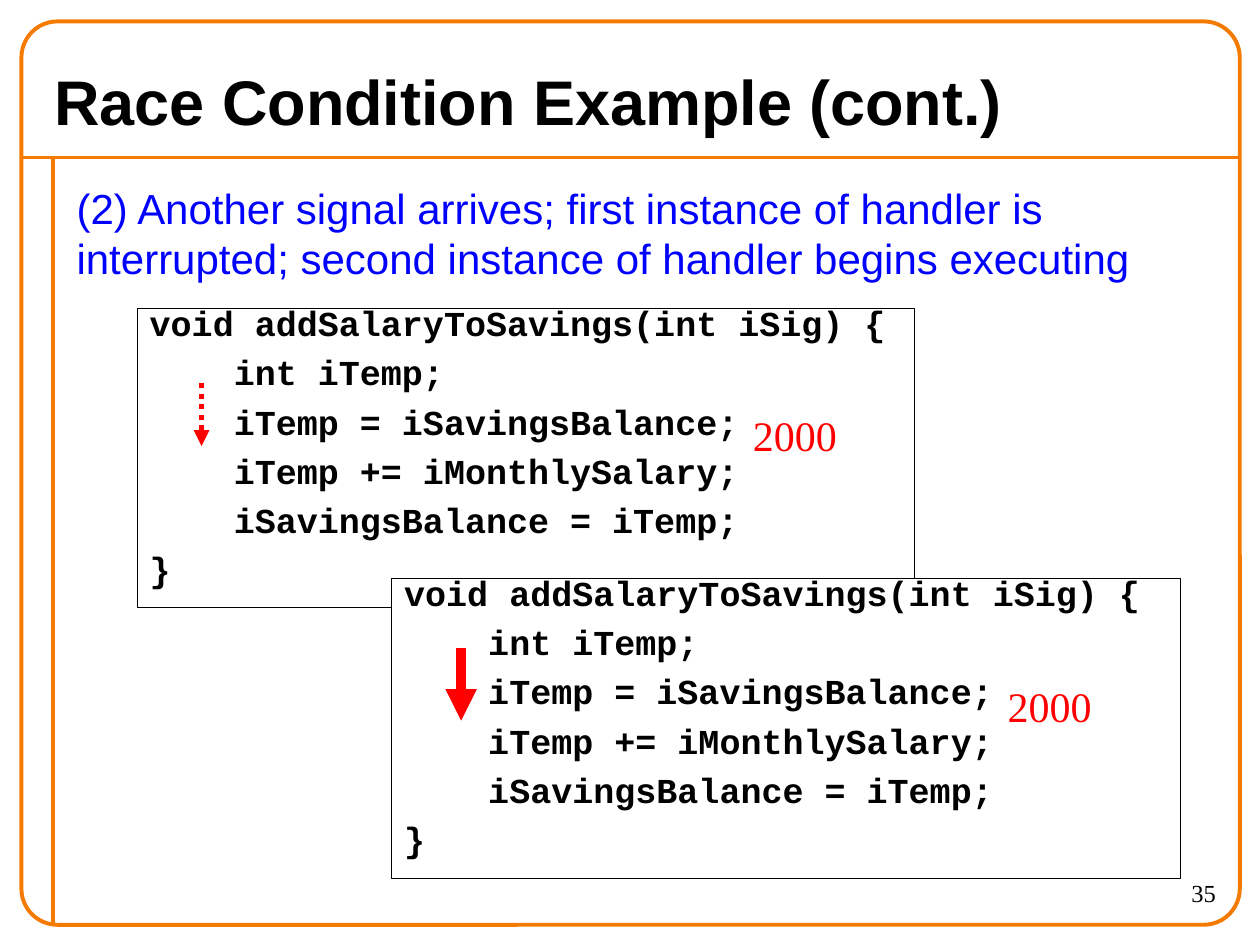
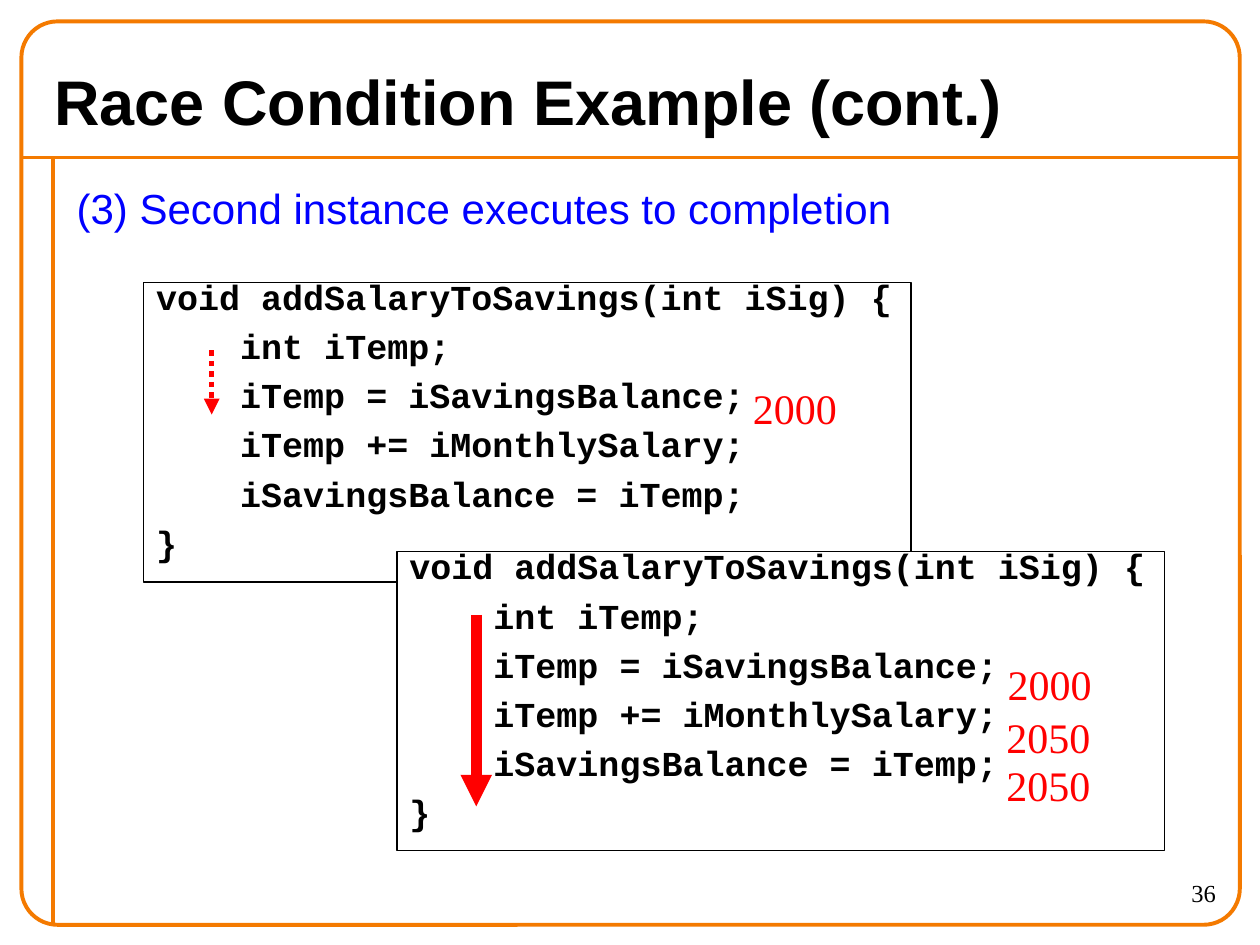
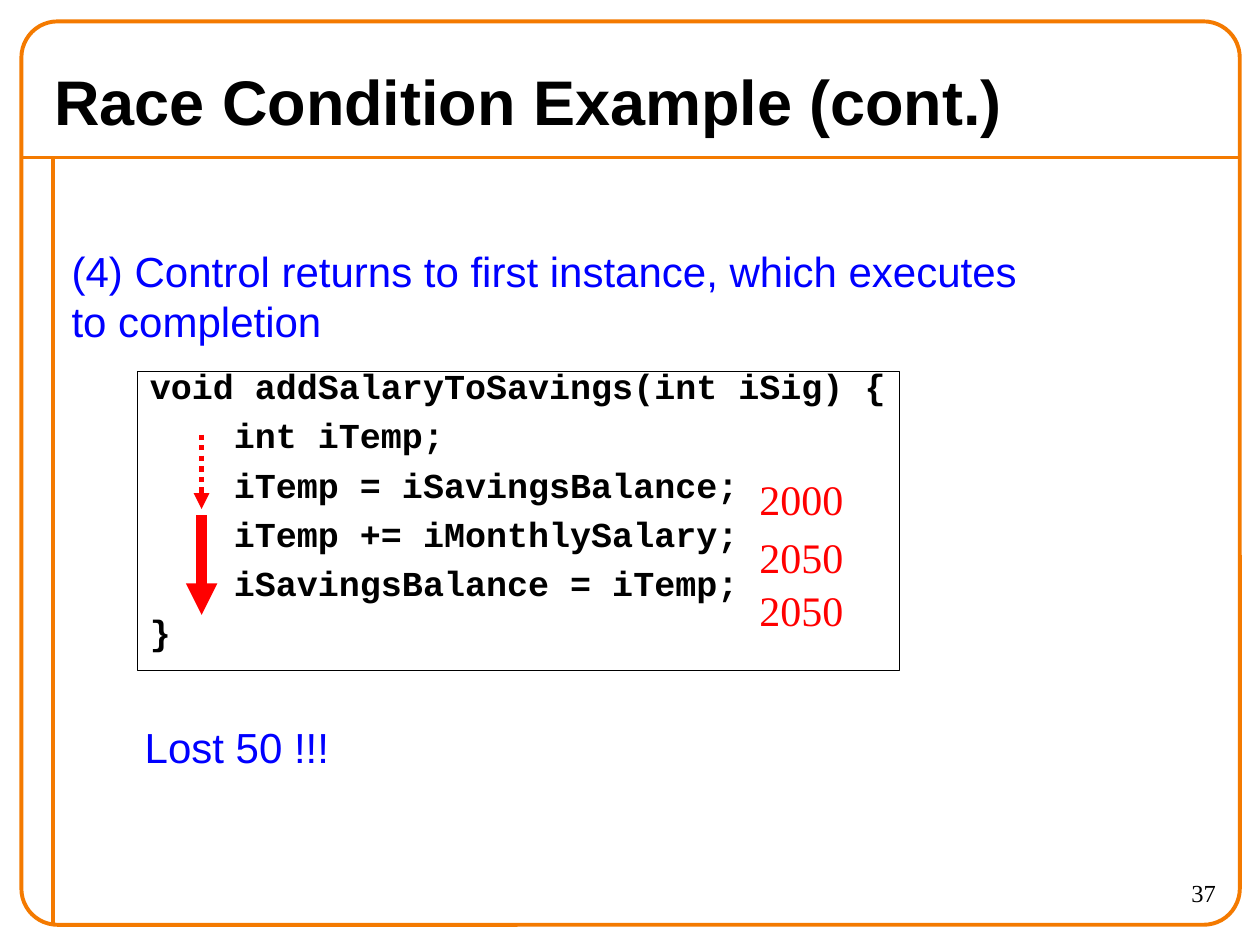
"""Build three slides that trace a race condition in a signal handler."""
from dataclasses import dataclass

from lxml import etree
from pptx import Presentation
from pptx import util as u
from pptx.dml.color import RGBColor
from pptx.enum import dml, shapes, text
from pptx.oxml import ns


@dataclass(frozen=True)
class Theme:
    rule: str = "F47A00"
    ink: str = "000000"
    note: str = "0000FF"
    mark: str = "FF0000"
    paper: str = "FFFFFF"
    sans: str = "Arial"
    mono: str = "Courier New"
    serif: str = "Times New Roman"
    head: int = 36
    body: int = 24
    code: int = 20
    foot: int = 14
    edge: float = 2.25
    thin: float = 0.75
    past: int = 3
    live: int = 6


T = Theme()
TITLE = "Race Condition Example (cont.)"
FIRST = 35
CODE = """void addSalaryToSavings(int iSig) {
    int iTemp;
    iTemp = iSavingsBalance;
    iTemp += iMonthlySalary;
    iSavingsBalance = iTemp;
}"""
SLIDES = [
    {
        "notes": [("(2) Another signal arrives; first instance of handler is\n"
                   "interrupted; second instance of handler begins executing",
                   (0.51, 1.4, 8.56, 0.9))],
        "code": [(1.09, 2.45, 6.17, 2.37), (3.11, 4.59, 6.26, 2.38)],
        "past": [(1.6, 3.04, 3.54)],
        "live": [(3.66, 5.14, 5.72)],
        "values": [("2000", 5.88, 3.2), ("2000", 7.9, 5.35)],
    },
    {
        "notes": [("(3) Second instance executes to completion",
                   (0.51, 1.4, 6.66, 0.5))],
        "code": [(1.14, 2.24, 6.09, 2.38), (3.15, 4.38, 6.09, 2.37)],
        "past": [(1.68, 2.78, 3.29)],
        "live": [(3.78, 4.88, 6.4)],
        "values": [("2000", 5.88, 2.99), ("2000", 7.9, 5.18),
                   ("2050", 7.89, 5.6), ("2050", 7.89, 5.98)],
    },
    {
        "notes": [("(4) Control returns to first instance, which executes\n"
                   "to completion", (0.47, 1.9, 7.7, 0.9)),
                  ("Lost 50 !!!", (1.05, 5.68, 2.18, 0.64))],
        "code": [(1.09, 2.95, 6.05, 2.37)],
        "past": [(1.6, 3.45, 4.04)],
        "live": [(1.6, 4.09, 4.88)],
        "values": [("2000", 5.93, 3.71), ("2050", 5.93, 4.17),
                   ("2050", 5.93, 4.59)],
    },
]


def inch(nums):
    return [u.Inches(n) for n in nums]


def write(shape, words, face, size, color, bold=False,
          align=text.PP_ALIGN.LEFT, anchor=text.MSO_ANCHOR.TOP, wrap=False):
    frame = shape.text_frame
    frame.text = words
    frame.word_wrap = wrap
    frame.auto_size = text.MSO_AUTO_SIZE.NONE
    frame.vertical_anchor = anchor
    for para in frame.paragraphs:
        para.alignment = align
        for run in para.runs:
            font = run.font
            font.name, font.size, font.bold = face, u.Pt(size), bold
            font.color.rgb = RGBColor.from_string(color)
    return frame


def label(slide, words, box, *style, **more):
    write(slide.shapes.add_textbox(*inch(box)), words, *style, **more)


def stroke(line, color, width):
    line.color.rgb = RGBColor.from_string(color)
    line.width = u.Pt(width)


def rule(slide, ends, color, width):
    link = slide.shapes.add_connector(shapes.MSO_CONNECTOR.STRAIGHT, *inch(ends))
    stroke(link.line, color, width)
    etree.SubElement(link._element.spPr, ns.qn("a:effectLst"))
    return link


def arrow(slide, x, top, end, width, dash=None):
    line = rule(slide, (x, top, x, end), T.mark, width).line
    if dash:
        line.dash_style = dash
    etree.SubElement(line._get_or_add_ln(), ns.qn("a:tailEnd"), type="triangle")


def panel(slide, kind, box, color, width):
    shape = slide.shapes.add_shape(kind, *inch(box))
    shape.shadow.inherit = False
    stroke(shape.line, color, width)
    return shape


def dress(slide, number):
    for ends in ((0.17, 1.25, 9.83, 1.25), (0.42, 1.25, 0.42, 7.33)):
        rule(slide, ends, T.rule, T.edge)
    frame = panel(slide, shapes.MSO_SHAPE.ROUNDED_RECTANGLE,
                  (0.17, 0.17, 9.67, 7.17), T.rule, T.edge)
    frame.adjustments[0] = 0.04
    frame.fill.background()
    title = slide.shapes.title
    title.left, title.top, title.width, title.height = inch((0.33, 0.42, 8.82, 0.75))
    write(title, TITLE, T.sans, T.head, T.ink, bold=True,
          anchor=text.MSO_ANCHOR.MIDDLE, wrap=True)
    label(slide, str(number), (8.75, 6.92, 1, 0.42), T.serif, T.foot, T.ink,
          align=text.PP_ALIGN.RIGHT, wrap=True)


def listing(slide, box):
    shape = panel(slide, shapes.MSO_SHAPE.RECTANGLE, box, T.ink, T.thin)
    shape.fill.solid()
    shape.fill.fore_color.rgb = RGBColor.from_string(T.paper)
    frame = write(shape, CODE, T.mono, T.code, T.ink, bold=True, wrap=True)
    for row, para in enumerate(frame.paragraphs):
        para.line_spacing = 0.65
        para.space_before = u.Pt(12.5 if row else 0)


def main():
    deck = Presentation()
    deck.slide_width, deck.slide_height = inch((10, 7.5))
    for number, part in enumerate(SLIDES, FIRST):
        slide = deck.slides.add_slide(deck.slide_layouts[5])
        dress(slide, number)
        for box in part["code"]:
            listing(slide, box)
        for words, box in part["notes"]:
            label(slide, words, box, T.sans, T.body, T.note)
        for span in part["past"]:
            arrow(slide, *span, T.past, dml.MSO_LINE.ROUND_DOT)
        for span in part["live"]:
            arrow(slide, *span, T.live)
        for words, x, y in part["values"]:
            label(slide, words, (x, y, 0.86, 0.5), T.serif, T.body, T.mark,
                  align=text.PP_ALIGN.CENTER)
    deck.save("out.pptx")


if __name__ == "__main__":
    main()
